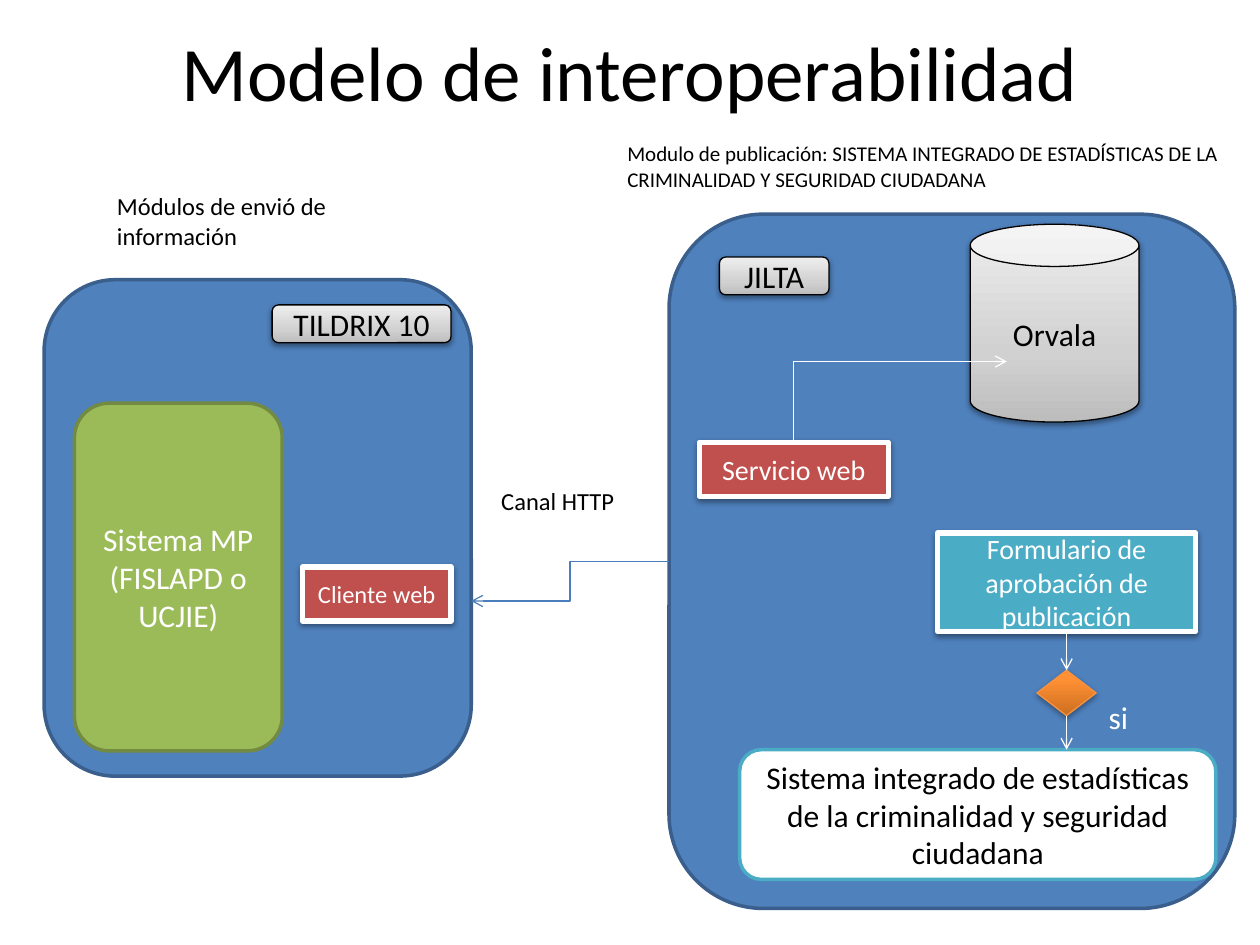
from dataclasses import dataclass
from typing import Optional

from lxml.etree import SubElement
from pptx import Presentation
from pptx.dml.color import RGBColor
from pptx.enum.shapes import MSO_CONNECTOR as Link, MSO_SHAPE as Preset
from pptx.enum.text import MSO_ANCHOR as Anchor, MSO_AUTO_SIZE as AutoSize, PP_ALIGN as Align
from pptx.oxml.ns import qn
from pptx.util import Inches, Pt

FONT = "Calibri"
COLORS = {
    "black": "000000",
    "white": "FFFFFF",
    "blue": "4F81BD",
    "blue_edge": "3A5F8C",
    "channel": "4B7EBC",
    "red": "C0504D",
    "green": "9BBB59",
    "green_edge": "738A42",
    "teal": "4BACC6",
    "orange_edge": "F69240",
}
GRADIENTS = {
    "gray": ((0, "BDBDBD"), (35, "D1D1D1"), (100, "EEEEEE")),
    "orange": ((0, "CC6E20"), (80, "FF9034"), (100, "FF9136")),
}
TOP, LEFT, BOTTOM = 0, 1, 2


@dataclass
class Box:
    key: str
    preset: Preset
    at: tuple
    fill: str
    edge: str
    edge_width: float
    text: str = ""
    size: int = 18
    color: str = "white"
    shadow: Optional[int] = None


@dataclass
class Label:
    text: str
    at: tuple
    size: int
    color: str = "black"
    title: bool = False


BOXES = [
    Box("sender", Preset.ROUNDED_RECTANGLE, (0.35, 2.22, 3.39, 3.94), "blue", "blue_edge", 2),
    Box("publisher", Preset.ROUNDED_RECTANGLE, (5.31, 1.7, 4.49, 5.51), "blue", "blue_edge", 2),
    Box("client", Preset.RECTANGLE, (2.4, 4.5, 1.18, 0.43), "red", "white", 3,
        "Cliente web", 14, shadow=38),
    Box("source system", Preset.ROUNDED_RECTANGLE, (0.59, 3.2, 1.65, 2.76), "green", "green_edge", 2,
        "Sistema MP (FISLAPD o UCJIE)"),
    Box("database", Preset.CAN, (7.7, 1.78, 1.34, 1.57), "gray", "black", 0.75,
        "Orvala", color="black", shadow=38),
    Box("service", Preset.RECTANGLE, (5.55, 3.51, 1.5, 0.43), "red", "white", 3,
        "Servicio web", 16, shadow=38),
    Box("approval form", Preset.RECTANGLE, (7.44, 4.23, 2.05, 0.78), "teal", "white", 3,
        "Formulario de aprobación de publicación", 16, shadow=38),
    Box("decision", Preset.DIAMOND, (8.23, 5.32, 0.47, 0.36), "orange", "orange_edge", 0.75, shadow=35),
    Box("statistics system", Preset.ROUNDED_RECTANGLE, (5.87, 5.95, 3.78, 1.03), "white", "teal", 2,
        "Sistema integrado de estadísticas de la criminalidad y seguridad ciudadana", color="black"),
    Box("publisher server", Preset.ROUNDED_RECTANGLE, (5.71, 2.04, 0.87, 0.3), "gray", "black", 0.75,
        "JILTA", color="black", shadow=38),
    Box("sender server", Preset.ROUNDED_RECTANGLE, (2.16, 2.42, 1.42, 0.3), "gray", "black", 0.75,
        "TILDRIX 10", color="black", shadow=38),
]
LABELS = [
    Label("Modelo de interoperabilidad", (0.75, 0.13, 8.5, 0.87), 44, title=True),
    Label("Canal HTTP", (3.88, 3.81, 1.3, 0.34), 14),
    Label("Módulos de envió de información", (0.83, 1.47, 2.52, 0.57), 14),
    Label("Modulo de publicación: SISTEMA INTEGRADO DE ESTADÍSTICAS DE LA CRIMINALIDAD Y SEGURIDAD CIUDADANA",
          (4.88, 1.07, 5.11, 0.5), 12),
    Label("si", (8.7, 5.49, 0.47, 0.4), 18, "white"),
]


def rgb(name: str) -> RGBColor:
    return RGBColor.from_string(COLORS[name])


def write(frame, text: str, size: int, color: str, centered: bool) -> None:
    frame.word_wrap = True
    frame.vertical_anchor = Anchor.MIDDLE if centered else Anchor.TOP
    paragraph = frame.paragraphs[0]
    paragraph.alignment = Align.CENTER if centered else Align.LEFT
    run = paragraph.add_run()
    run.text = text
    run.font.name = FONT
    run.font.size = Pt(size)
    run.font.color.rgb = rgb(color)


def add_color(parent, value: str):
    return SubElement(parent, qn("a:srgbClr"), val=value)


def paint(shape, fill: str) -> None:
    if fill not in GRADIENTS:
        shape.fill.solid()
        shape.fill.fore_color.rgb = rgb(fill)
        return
    shape.fill.gradient()
    shape.fill.gradient_angle = 90
    stops = shape._element.spPr.find(".//" + qn("a:gsLst"))
    stops.clear()
    for position, value in GRADIENTS[fill]:
        add_color(SubElement(stops, qn("a:gs"), pos=str(position * 1000)), value)


def add_shadow(shape, opacity: int) -> None:
    effects = shape._element.spPr.find(qn("a:effectLst"))
    shadow = SubElement(effects, qn("a:outerShdw"), blurRad="40000", dist="20000",
                        dir="5400000", rotWithShape="0")
    SubElement(add_color(shadow, COLORS["black"]), qn("a:alpha"), val=str(opacity * 1000))


def add_box(slide, box: Box):
    shape = slide.shapes.add_shape(box.preset, *map(Inches, box.at))
    shape.shadow.inherit = False
    paint(shape, box.fill)
    shape.line.color.rgb = rgb(box.edge)
    shape.line.width = Pt(box.edge_width)
    if box.shadow:
        add_shadow(shape, box.shadow)
    if box.text:
        write(shape.text_frame, box.text, box.size, box.color, True)
    return shape


def add_label(slide, label: Label) -> None:
    frame = slide.shapes.add_textbox(*map(Inches, label.at)).text_frame
    write(frame, label.text, label.size, label.color, label.title)
    frame.auto_size = AutoSize.NONE if label.title else AutoSize.SHAPE_TO_FIT_TEXT


def add_arrow(slide, kind: Link, start: tuple, end: tuple, color: str, source, side: int):
    connector = slide.shapes.add_connector(kind, *map(Inches, start + end))
    connector.begin_connect(source, side)
    connector.line.color.rgb = rgb(color)
    connector.line.width = Pt(0.75)
    SubElement(connector.line._get_or_add_ln(), qn("a:tailEnd"), type="arrow")
    SubElement(connector._element.spPr, qn("a:effectLst"))
    return connector


def turn_to_single_bend(connector) -> None:
    width, height = connector.width, connector.height
    connector.left += (width - height) // 2
    connector.top += (height - width) // 2
    connector.width, connector.height = height, width
    properties = connector._element.spPr
    properties.find(qn("a:prstGeom")).set("prst", "bentConnector2")
    frame = properties.find(qn("a:xfrm"))
    frame.set("rot", "5400000")
    frame.set("flipH", "1")


def main() -> None:
    presentation = Presentation()
    presentation.slide_width = Inches(10)
    presentation.slide_height = Inches(7.5)
    slide = presentation.slides.add_slide(presentation.slide_layouts[6])

    shapes = {box.key: add_box(slide, box) for box in BOXES}
    for label in LABELS:
        add_label(slide, label)

    add_arrow(slide, Link.ELBOW, (5.31, 4.46), (3.74, 4.77), "channel", shapes["publisher"], LEFT)
    query = add_arrow(slide, Link.ELBOW, (6.3, 3.51), (7.99, 2.87), "white", shapes["service"], TOP)
    turn_to_single_bend(query)
    review = add_arrow(slide, Link.STRAIGHT, (8.46, 5.01), (8.46, 5.32), "white",
                       shapes["approval form"], BOTTOM)
    review.end_connect(shapes["decision"], TOP)
    approval = add_arrow(slide, Link.STRAIGHT, (8.46, 5.68), (8.46, 5.95), "white",
                         shapes["decision"], BOTTOM)
    approval.end_x = approval.begin_x

    presentation.save("out.pptx")


if __name__ == "__main__":
    main()
